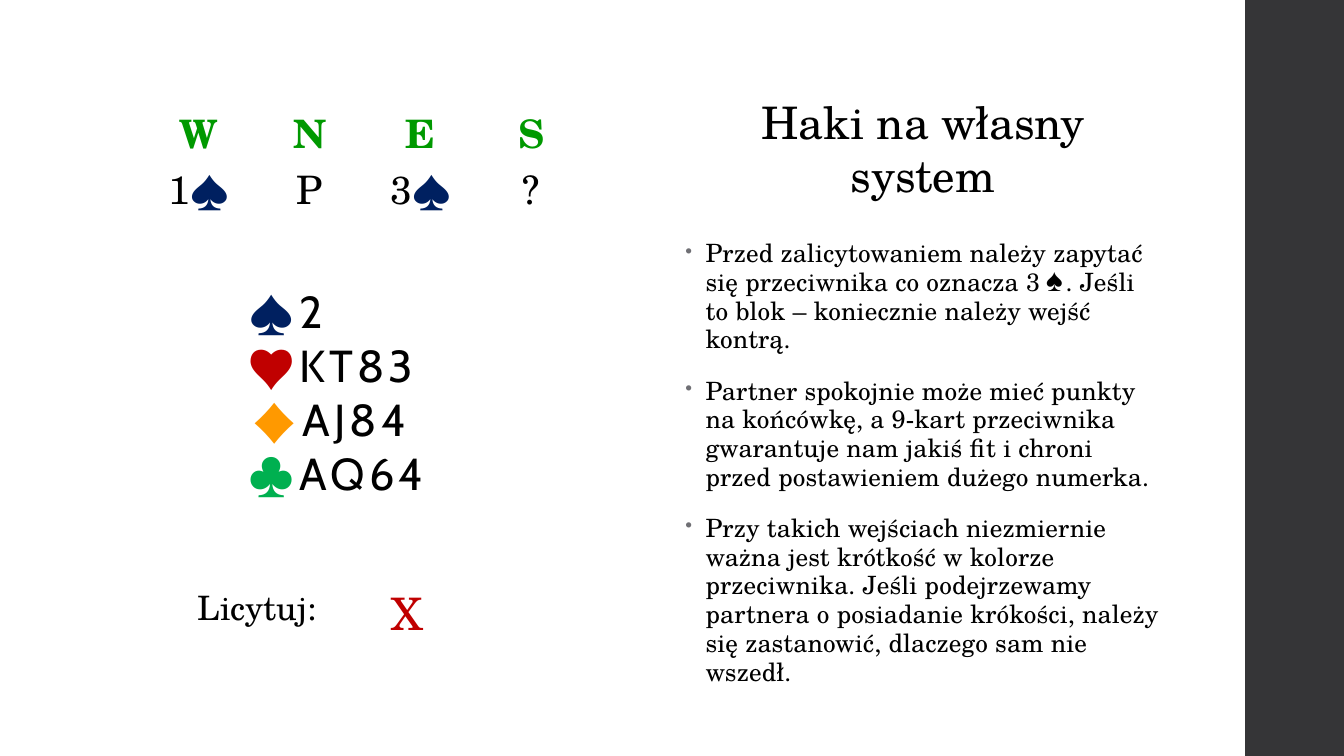
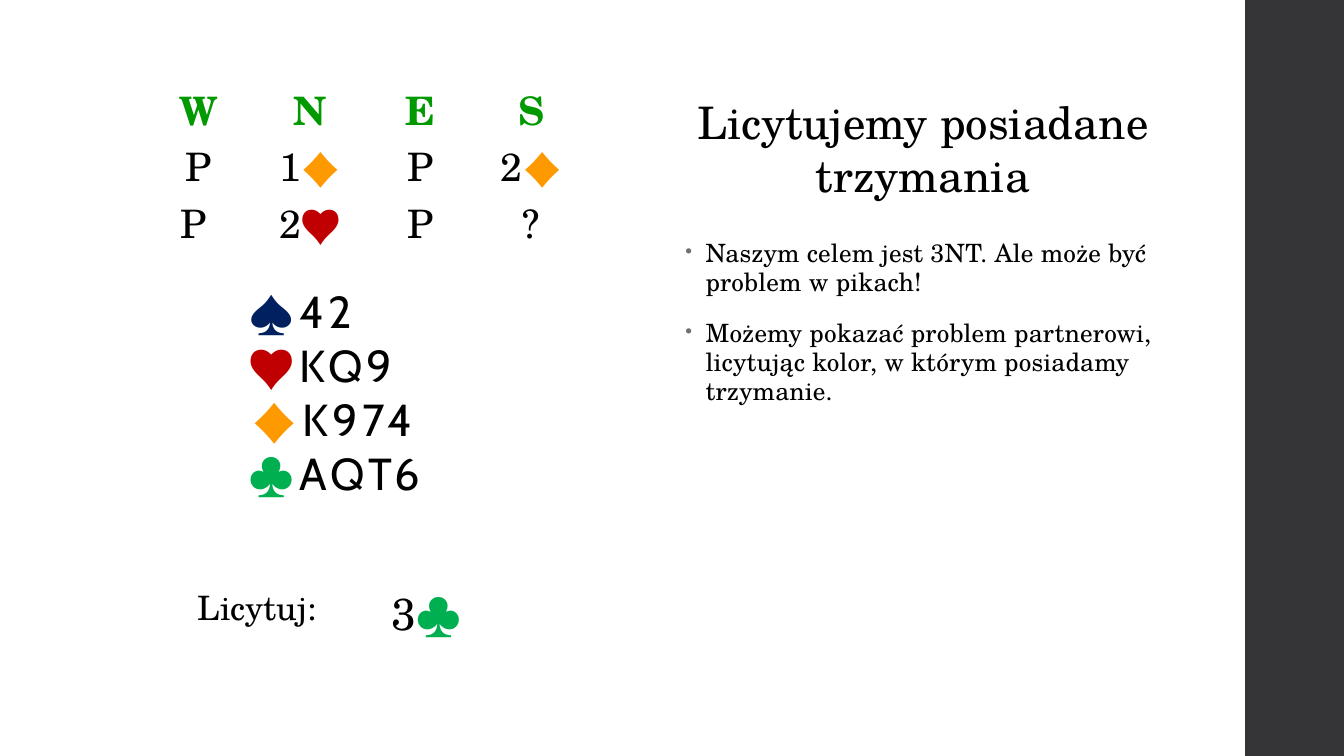
from dataclasses import dataclass
from itertools import groupby

from lxml.etree import SubElement
from pptx import Presentation
from pptx.dml.color import RGBColor
from pptx.enum.shapes import MSO_SHAPE
from pptx.enum.text import MSO_ANCHOR as Anchor, MSO_AUTO_SIZE as AutoSize, PP_ALIGN as Align
from pptx.oxml.ns import qn
from pptx.util import Inches, Pt


@dataclass(frozen=True)
class Theme:
    serif: str = "TeX Gyre Schola"
    sans: str = "Cabin"
    black: str = "000000"
    band: str = "353537"
    bullet: str = "6F6F74"
    seat: str = "009900"
    spade: str = "002060"
    heart: str = "C00000"
    diamond: str = "FF9900"
    club: str = "00B050"
    title_size: int = 32
    body_size: int = 18
    bid_size: int = 28
    card_size: int = 32
    label_size: int = 24
    card_spacing: float = 3
    body_spacing: float = 0.1


THEME = Theme()
SUITS = {"♠": THEME.spade, "♥": THEME.heart, "♦": THEME.diamond, "♣": THEME.club}
SEATS = ["W", "N", "E", "S"]
TITLE_ONLY = 5

# Boxes as left, top, width, height in inches
BAND_BOX = (12.35, 0, 0.98, 7.5)
TITLE_BOX = (6.7, 0.88, 4.91, 1.18)
NOTES_BOX = (6.7, 2.33, 4.9, 4.51)
HAND_BOX = (1.87, 2.77, 3.49, 2.26)
ANSWER_BOX = (1.32, 5.7, 4.04, 0.63)
AUCTION_LEFT, AUCTION_WIDTH, BID_ROW = 1.42, 4.4, 0.57

PAGES = [
    {
        "title": "Haki na własny system",
        "auction_top": 0.97,
        "bids": [["1♠", "P", "3♠", "?"]],
        "hand": ["2", "KT83", "AJ84", "AQ64"],
        "answer": "X",
        "answer_color": THEME.heart,
        "notes": [
            "Przed zalicytowaniem należy zapytać się przeciwnika co oznacza 3♠. "
            "Jeśli to blok – koniecznie należy wejść kontrą.",
            "Partner spokojnie może mieć punkty na końcówkę, a 9-kart przeciwnika "
            "gwarantuje nam jakiś fit i chroni przed postawieniem dużego numerka.",
            "Przy takich wejściach niezmiernie ważna jest krótkość w kolorze przeciwnika. "
            "Jeśli podejrzewamy partnera o posiadanie krókości, należy się zastanowić, "
            "dlaczego sam nie wszedł.",
        ],
    },
    {
        "title": "Licytujemy posiadane trzymania",
        "auction_top": 0.74,
        "bids": [["P", "1♦", "P", "2♦"], ["P ", "2♥", "P", "?"]],
        "hand": ["42", "KQ9", "K974", "AQT6"],
        "answer": "3♣",
        "answer_color": THEME.black,
        "notes": [
            "Naszym celem jest 3NT. Ale może być problem w pikach!",
            "Możemy pokazać problem partnerowi, licytując kolor, w którym posiadamy trzymanie.",
        ],
    },
]


def inches(box):
    return [Inches(length) for length in box]


def write(para, text, size, font=THEME.serif, color=THEME.black, bold=False, spacing=0):
    span = para.add_run()
    span.text = text
    span.font.name = font
    span.font.size = Pt(size)
    span.font.bold = bold
    span.font.color.rgb = RGBColor.from_string(color)
    if spacing:
        span._r.get_or_add_rPr().set("spc", str(round(spacing * 100)))


def write_bid(para, text, size, color=THEME.black, bold=False):
    """Write a call, giving each suit symbol its own colour and font."""
    for suit_color, signs in groupby(text, key=SUITS.get):
        if suit_color:
            write(para, "".join(signs), size, font=THEME.sans, color=suit_color,
                  spacing=THEME.card_spacing)
        else:
            write(para, "".join(signs), size, color=color, bold=bold)


def set_margin(para, margin, indent=0):
    properties = para._p.get_or_add_pPr()
    properties.set("marL", str(Inches(margin)))
    properties.set("indent", str(Inches(indent)))
    return properties


def add_bullet(para):
    properties = set_margin(para, 0.2, -0.2)
    SubElement(SubElement(properties, qn("a:buClr")), qn("a:srgbClr"), val=THEME.bullet)
    SubElement(properties, qn("a:buSzPct"), val="80000")
    SubElement(properties, qn("a:buChar"), char="•")


def add_tabs(para, margin):
    tabs = SubElement(set_margin(para, margin), qn("a:tabLst"))
    for position, side in ((0.5, "r"), (0.7, "l")):
        SubElement(tabs, qn("a:tab"), pos=str(Inches(position)), algn=side)


def add_paragraphs(frame, count):
    return [frame.paragraphs[0]] + [frame.add_paragraph() for _ in range(count - 1)]


def add_text_frame(page, box):
    frame = page.shapes.add_textbox(*inches(box)).text_frame
    frame.word_wrap = True
    return frame


def add_plain_table(page, box, rows, widths):
    """Add a table without fills and return it."""
    table = page.shapes.add_table(rows, len(widths), *inches(box)).table
    table.first_row = table.horz_banding = False
    for column, width in zip(table.columns, widths):
        column.width = Inches(width)
    for cell in table.iter_cells():
        cell.fill.background()
        cell.vertical_anchor = Anchor.MIDDLE
    return table


def add_title(page, box, text):
    title = page.shapes.title
    title.left, title.top, title.width, title.height = inches(box)
    frame = title.text_frame
    frame.word_wrap = True
    frame.auto_size = AutoSize.SHAPE_TO_FIT_TEXT
    frame.vertical_anchor = Anchor.MIDDLE
    para = frame.paragraphs[0]
    para.alignment = Align.CENTER
    write(para, text, THEME.title_size)


def add_auction(page, top, bids):
    rows = [SEATS] + bids
    box = (AUCTION_LEFT, top, AUCTION_WIDTH, BID_ROW * len(rows))
    widths = [AUCTION_WIDTH / len(SEATS)] * len(SEATS)
    table = add_plain_table(page, box, len(rows), widths)
    for row, calls in enumerate(rows):
        header = row == 0
        for column, call in enumerate(calls):
            para = table.cell(row, column).text_frame.paragraphs[0]
            para.alignment = Align.CENTER
            write_bid(para, call, THEME.bid_size, bold=header,
                      color=THEME.seat if header else THEME.black)


def add_hand(page, box, holdings):
    frame = add_text_frame(page, box)
    frame.auto_size = AutoSize.SHAPE_TO_FIT_TEXT
    paras = add_paragraphs(frame, len(holdings))
    style = {"font": THEME.sans, "spacing": THEME.card_spacing}
    for para, (suit, color), cards in zip(paras, SUITS.items(), holdings):
        add_tabs(para, 0.03 if suit == "♦" else 0)
        write(para, f"\t{suit}\t", THEME.card_size, color=color, **style)
        write(para, cards, THEME.card_size, **style)


def add_answer(page, box, answer, color):
    table = add_plain_table(page, box, 1, [2.46, 1.58])
    label, call = (table.cell(0, column).text_frame.paragraphs[0] for column in range(2))
    label.alignment = Align.CENTER
    write(label, "Licytuj:", THEME.label_size)
    write_bid(call, answer, THEME.card_size, color=color)


def add_notes_column(page, box, notes):
    paras = add_paragraphs(add_text_frame(page, box), len(notes))
    for number, (para, note) in enumerate(zip(paras, notes)):
        add_bullet(para)
        para.line_spacing = 0.95
        para.space_before = Pt(14 if number else 0)
        para.space_after = Pt(2)
        write(para, note, THEME.body_size, spacing=THEME.body_spacing)


def add_master_band(deck, page):
    """Draw the side band on a page and move it to the master, for all pages."""
    band = page.shapes.add_shape(MSO_SHAPE.RECTANGLE, *inches(BAND_BOX))
    band.shadow.inherit = False
    band.fill.solid()
    band.fill.fore_color.rgb = RGBColor.from_string(THEME.band)
    band.line.fill.background()
    deck.slide_master.shapes.element.append(band.element)


def add_bidding_page(deck, content):
    page = deck.slides.add_slide(deck.slide_layouts[TITLE_ONLY])
    add_title(page, TITLE_BOX, content["title"])
    add_auction(page, content["auction_top"], content["bids"])
    add_notes_column(page, NOTES_BOX, content["notes"])
    add_hand(page, HAND_BOX, content["hand"])
    add_answer(page, ANSWER_BOX, content["answer"], content["answer_color"])
    return page


def main():
    deck = Presentation()
    deck.slide_width, deck.slide_height = Inches(13.33), Inches(7.5)
    pages = [add_bidding_page(deck, content) for content in PAGES]
    add_master_band(deck, pages[0])
    deck.save("out.pptx")


if __name__ == "__main__":
    main()
